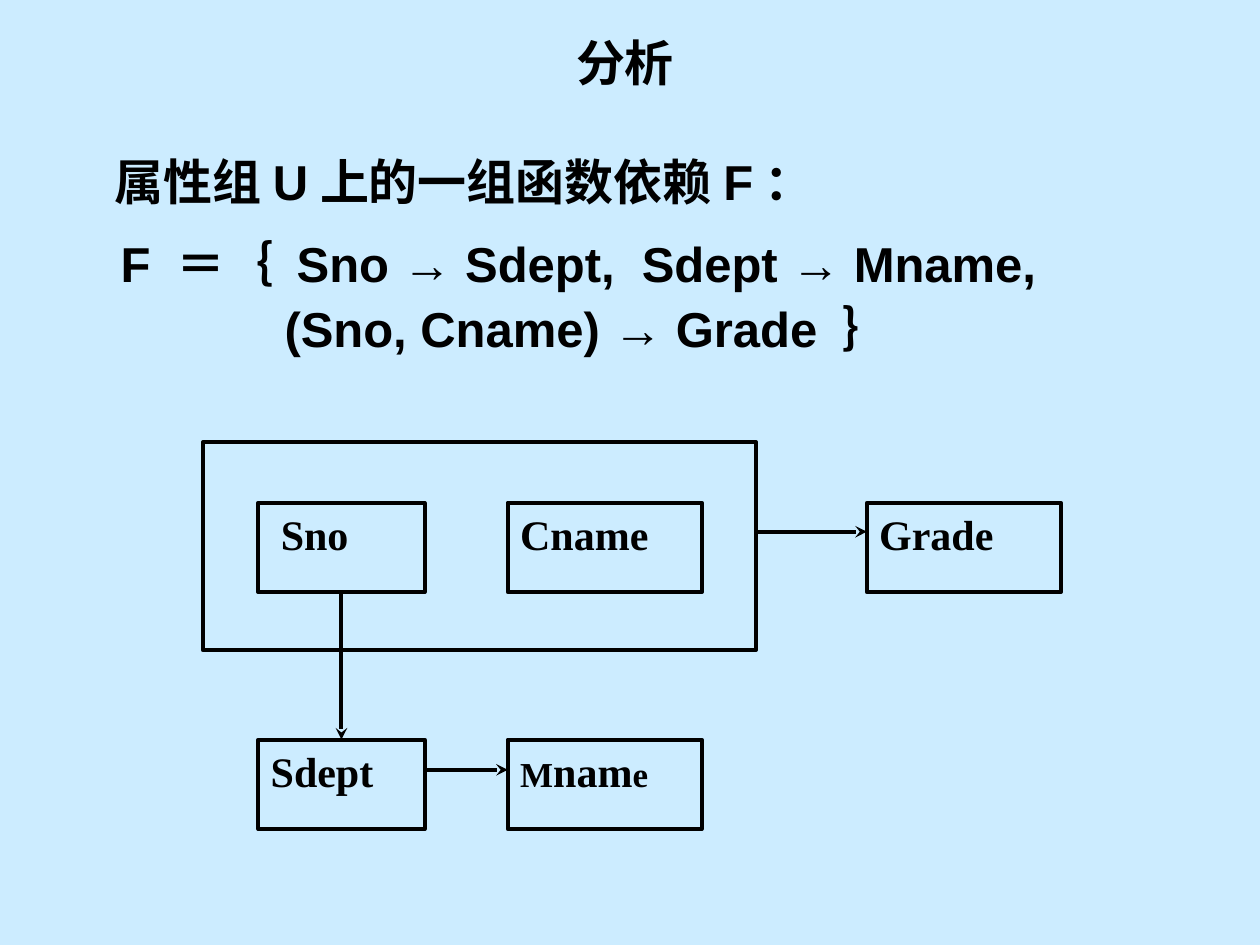
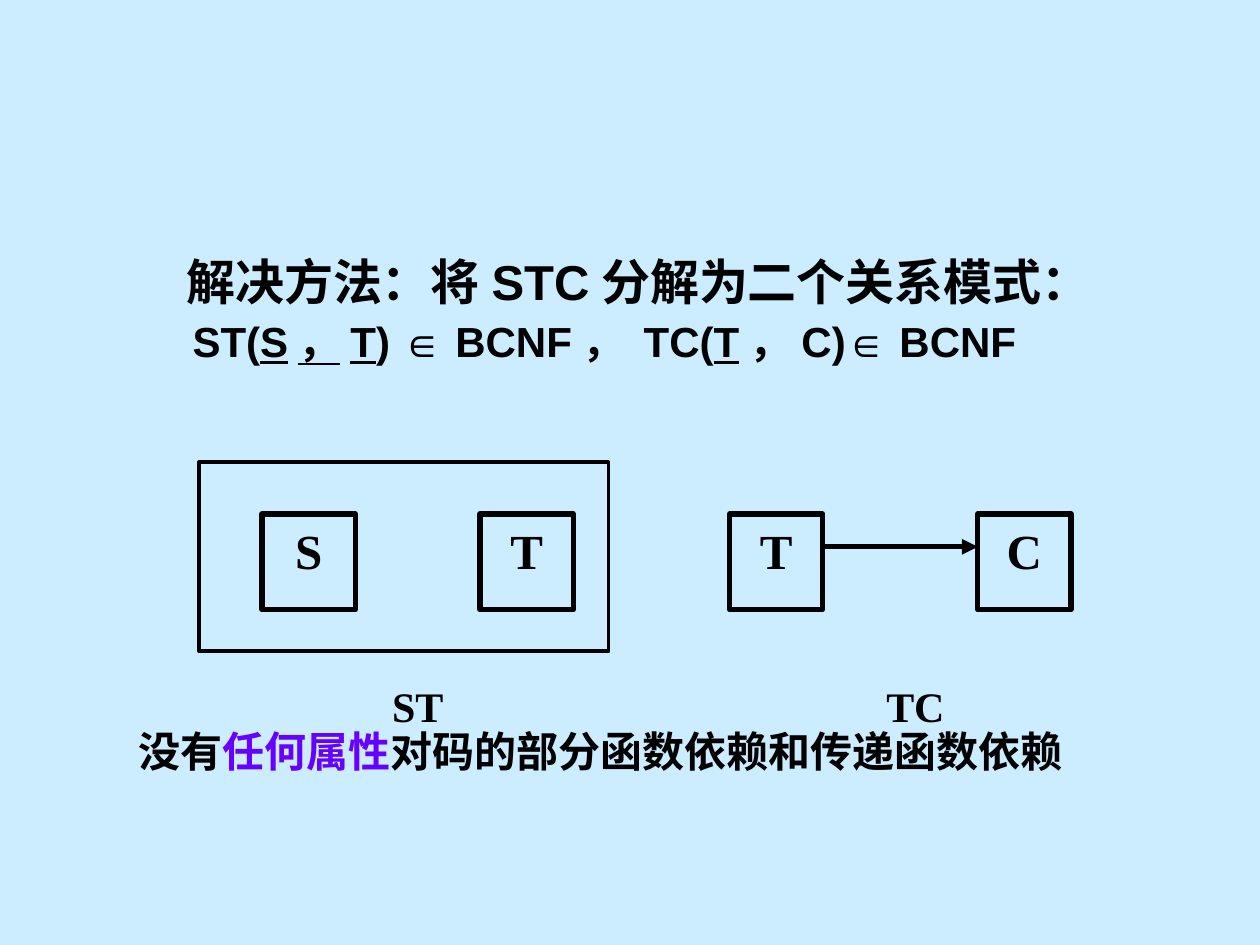
import pptx
import pptx.dml.color
import pptx.enum.shapes
import pptx.enum.text
import pptx.oxml.ns
import pptx.util
from lxml import etree

Inches = pptx.util.Inches
Pt = pptx.util.Pt
ALIGN = pptx.enum.text.PP_ALIGN

# Shared look
SKY = pptx.dml.color.RGBColor(0xCC, 0xEC, 0xFF)
BLACK = pptx.dml.color.RGBColor(0, 0, 0)
VIOLET = pptx.dml.color.RGBColor(0x66, 0x00, 0xFF)
SANS, SERIF = "Arial", "Times New Roman"
OUTLINE = 2.25


def add_slide(deck):
    slide = deck.slides.add_slide(deck.slide_layouts[6])
    slide.background.fill.solid()
    slide.background.fill.fore_color.rgb = SKY
    return slide


def write(paragraph, runs, size, face, align=None, indent=0, before=0, spacing=None):
    """Fill a paragraph; runs is a string or a list of (text, font changes)."""
    if indent:
        paragraph._p.get_or_add_pPr().set("marL", str(Inches(indent)))
    paragraph.alignment = align
    paragraph.line_spacing = spacing
    if before:
        paragraph.space_before = Pt(before)
    font = paragraph.font
    font.name, font.size, font.bold = face, Pt(size), True
    font.color.rgb = BLACK
    for text, changes in [(runs, {})] if isinstance(runs, str) else runs:
        run = paragraph.add_run()
        run.text = text
        if "size" in changes:
            run.font.size = Pt(changes["size"])
        if "color" in changes:
            run.font.color.rgb = changes["color"]
        if "underline" in changes:
            run.font.underline = changes["underline"]


def add_text(slide, left, top, width, height):
    frame = slide.shapes.add_textbox(*map(Inches, (left, top, width, height))).text_frame
    frame.word_wrap = True
    return frame


def add_box(slide, left, top, width, height, weight=OUTLINE):
    box = slide.shapes.add_shape(pptx.enum.shapes.MSO_SHAPE.RECTANGLE,
                                 *map(Inches, (left, top, width, height)))
    box.shadow.inherit = False
    box.fill.background()
    box.line.color.rgb = BLACK
    box.line.width = Pt(weight)
    box.text_frame.vertical_anchor = pptx.enum.text.MSO_ANCHOR.TOP
    return box


def add_arrow(slide, x1, y1, x2, y2, head, weight=OUTLINE):
    arrow = slide.shapes.add_connector(pptx.enum.shapes.MSO_CONNECTOR.STRAIGHT,
                                       *map(Inches, (x1, y1, x2, y2)))
    arrow.line.color.rgb = BLACK
    arrow.line.width = Pt(weight)
    qn = pptx.oxml.ns.qn
    etree.SubElement(arrow.line._get_or_add_ln(), qn("a:tailEnd"), type=head)
    etree.SubElement(arrow._element.spPr, qn("a:effectLst"))


def build_analysis(deck):
    slide = add_slide(deck)

    # Functional dependencies
    frame = add_text(slide, 0.43, 1.15, 9.29, 2.2)
    write(frame.paragraphs[0], "属性组U上的一组函数依赖F：", 28, SANS, indent=0.38)
    write(frame.add_paragraph(), "F ＝｛ Sno → Sdept,  Sdept → Mname,", 28, SANS,
          indent=0.43, before=7, spacing=1.2)
    write(frame.add_paragraph(), "(Sno, Cname) → Grade ｝", 28, SANS,
          indent=1.73, before=3.5)

    # Attributes, with the composite key framed
    key_x, dependent_x, grade_x = 2.05, 4.03, 6.88
    key_row, lower_row = 3.99, 5.87
    narrow, wide, height = 1.32, 1.54, 0.71
    add_box(slide, 1.61, 3.51, 4.39, 1.65)
    attributes = [
        ("Sno", key_x, key_row, narrow, 0.08),
        ("Cname", dependent_x, key_row, wide, 0),
        ("Sdept", key_x, lower_row, narrow, 0),
        ([("M", {"size": 20}), ("nam", {}), ("e", {"size": 20})],
         dependent_x, lower_row, wide, 0),
        ("Grade", grade_x, key_row, wide, 0),
    ]
    for label, left, top, width, indent in attributes:
        box = add_box(slide, left, top, width, height)
        write(box.text_frame.paragraphs[0], label, 24, SERIF, ALIGN.JUSTIFY, indent)

    # Dependencies between attributes
    key_middle = key_x + narrow / 2
    for ends in [
        (key_middle, key_row + height, key_middle, lower_row),
        (key_x + narrow, lower_row + 0.24, dependent_x, lower_row + 0.24),
        (6.0, key_row + 0.23, grade_x, key_row + 0.23),
    ]:
        add_arrow(slide, *ends, "stealth")

    # Title
    title = add_text(slide, 1.3, 0.21, 7.32, 0.57)
    write(title.paragraphs[0], "分析", 28, SERIF, ALIGN.CENTER)


def build_decomposition(deck):
    slide = add_slide(deck)

    # Solution
    solution = add_text(slide, 1, 2, 8.5, 1.2)
    write(solution.paragraphs[0], "解决方法：将STC分解为二个关系模式：", 28, SANS,
          indent=0.38, spacing=0.9)
    key = {"underline": True}
    schemas = [("ST(", {}), ("S，T", key), (") ∈ BCNF， TC(", {}),
               ("T", key), ("，C)∈ BCNF", {})]
    write(solution.add_paragraph(), schemas, 24, SANS, indent=0.43, before=6, spacing=0.9)

    # Conclusion
    conclusion = add_text(slide, 1, 5.71, 8.5, 0.6)
    write(conclusion.paragraphs[0],
          [("没有", {}), ("任何属性", {"color": VIOLET}),
           ("对码的部分函数依赖和传递函数依赖", {})], 24, SANS)

    # Relations ST and TC
    row, width, height, weight = 4.08, 0.74, 0.76, 3
    t_x, c_x = 5.79, 7.76
    for attribute, left in [("S", 2.08), ("T", 3.81), ("T", t_x), ("C", c_x)]:
        box = add_box(slide, left, row, width, height, weight)
        write(box.text_frame.paragraphs[0], attribute, 28, SERIF, ALIGN.CENTER)
    for relation, left in [("ST", 2.82), ("TC", 6.77)]:
        caption = add_text(slide, left, 5.35, 0.99, 0.76)
        write(caption.paragraphs[0], relation, 24, SERIF, ALIGN.CENTER)
    add_arrow(slide, t_x + width, row + 0.26, c_x, row + 0.26, "triangle", weight)
    add_box(slide, 1.58, 3.67, 3.25, 1.5)


def main():
    deck = pptx.Presentation()
    deck.slide_width, deck.slide_height = Inches(10), Inches(7.5)
    build_analysis(deck)
    build_decomposition(deck)
    deck.save("out.pptx")


if __name__ == "__main__":
    main()
